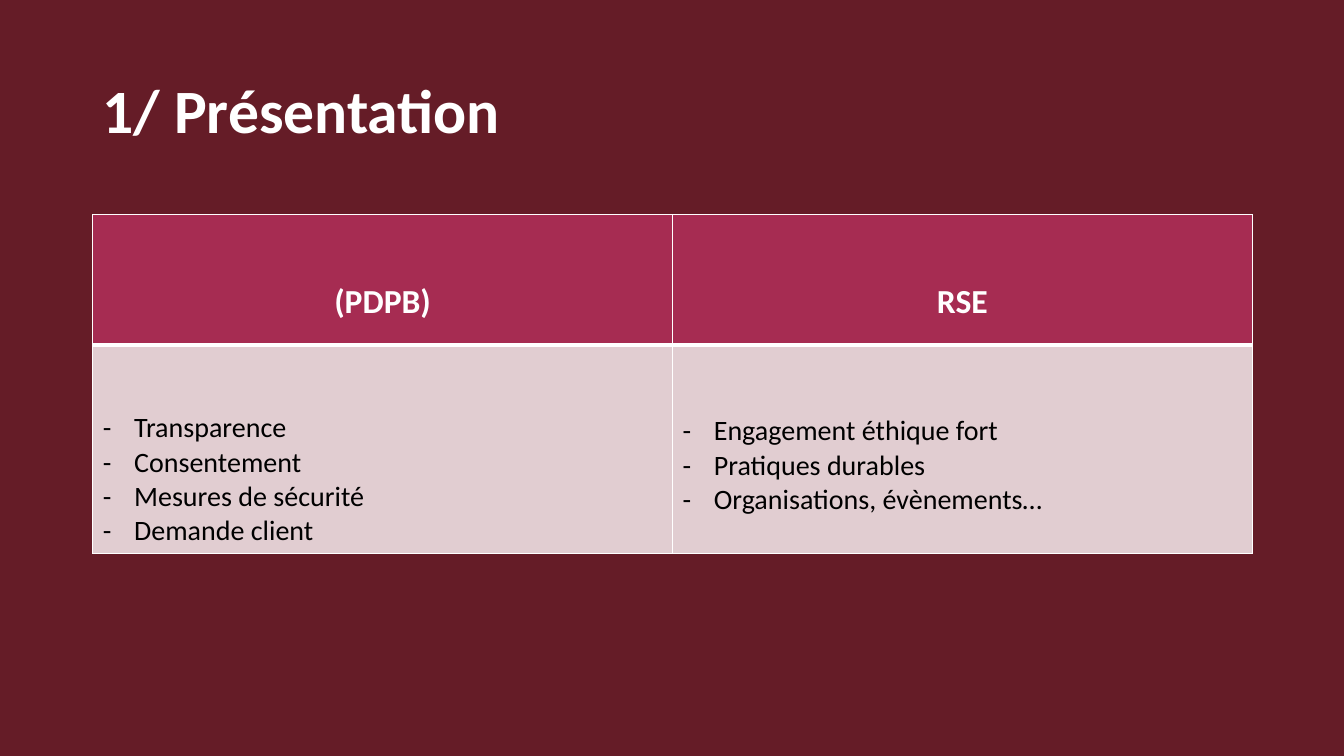
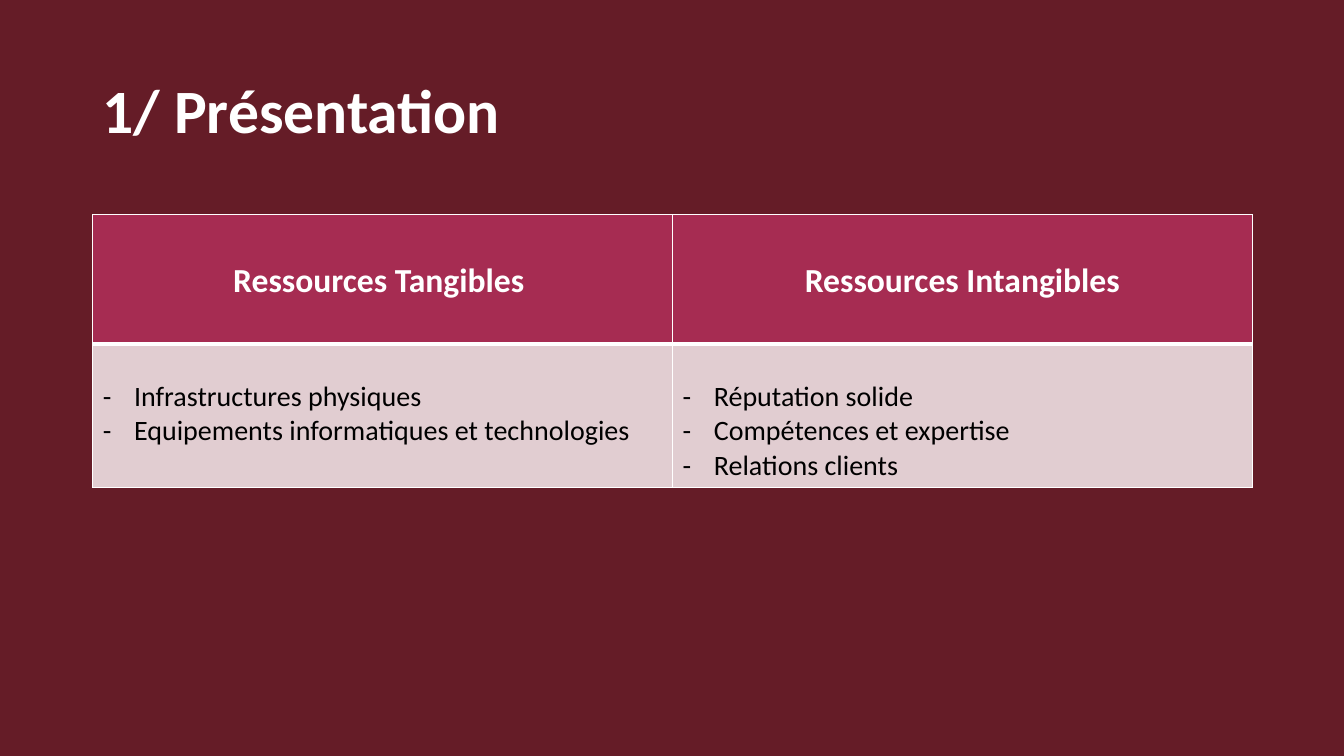
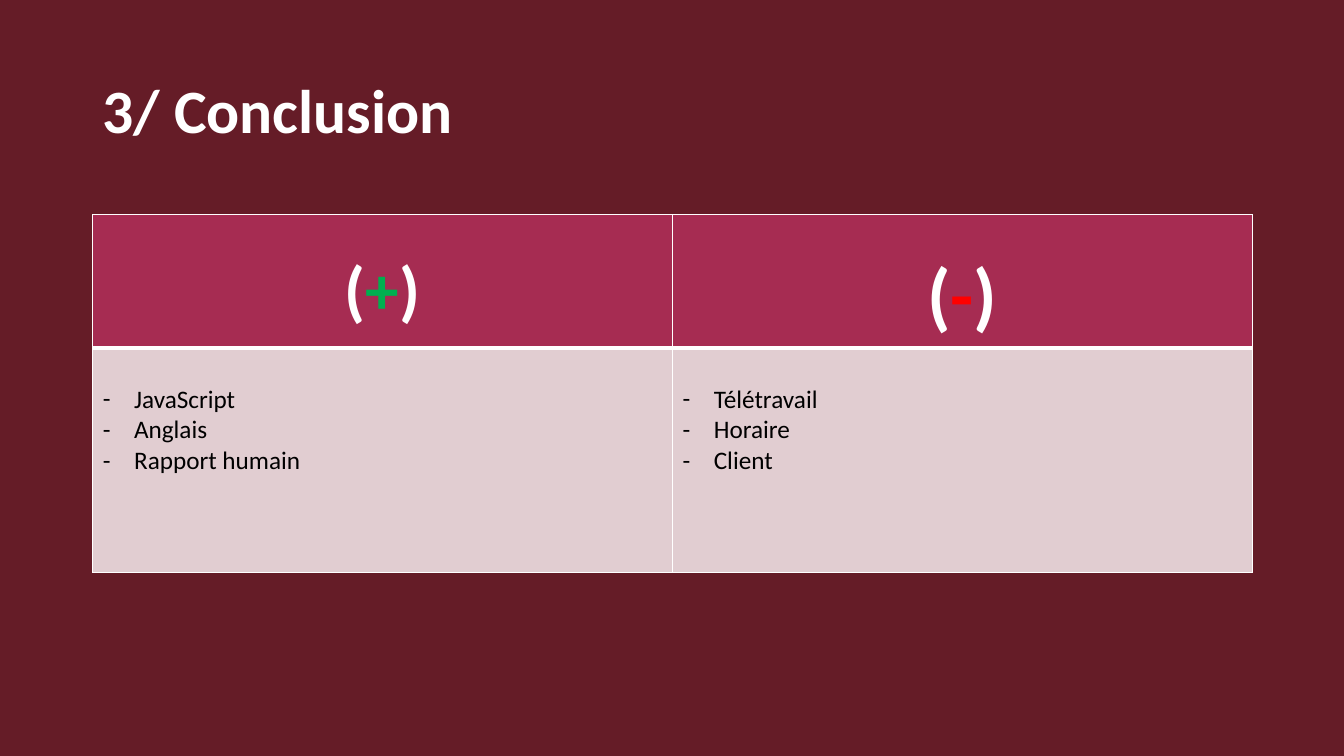
from lxml import etree
from pptx import Presentation
from pptx.dml.color import RGBColor
from pptx.enum.text import MSO_ANCHOR, PP_ALIGN
from pptx.oxml.ns import qn
from pptx.util import Inches, Pt

CENTER = PP_ALIGN.CENTER
LEFT = PP_ALIGN.LEFT
MIDDLE = MSO_ANCHOR.MIDDLE

FONT = "Calibri"
BURGUNDY = "651C27"
RASPBERRY = "A62C52"
BLUSH = "E1CDD1"
WHITE = "FFFFFF"
BLACK = "000000"
GREEN = "00B050"
RED = "FF0000"

CONTENT_LEFT = 0.92
CONTENT_WIDTH = 11.5
TABLE_TOP = 2.13
BULLET_INDENT = 0.31
THIN, THICK = 1, 3


def rgb(color):
    """Turn a hex string into a colour."""
    return RGBColor.from_string(color)


def write(paragraph, text, size=20, color=BLACK, bold=False, align=LEFT):
    """Append formatted text to a paragraph."""
    paragraph.alignment = align
    run = paragraph.add_run()
    run.text = text
    run.font.name = FONT
    run.font.size = Pt(size)
    run.font.bold = bold
    run.font.color.rgb = rgb(color)


def set_dash_bullet(paragraph):
    """Give a paragraph a hanging dash."""
    properties = paragraph._p.get_or_add_pPr()
    properties.set("marL", str(Inches(BULLET_INDENT)))
    properties.set("indent", str(-Inches(BULLET_INDENT)))
    etree.SubElement(properties, qn("a:buFont"), typeface=FONT)
    etree.SubElement(properties, qn("a:buChar"), char="-")


def style_cell(cell, fill, text_top, top=THIN, bottom=THIN):
    """Set the white borders, fill and text start of a cell."""
    properties = cell._tc.get_or_add_tcPr()
    for side, width in (("L", THIN), ("R", THIN), ("T", top), ("B", bottom)):
        line = etree.SubElement(properties, qn(f"a:ln{side}"), w=str(Pt(width)))
        line_fill = etree.SubElement(line, qn("a:solidFill"))
        etree.SubElement(line_fill, qn("a:srgbClr"), val=WHITE)
    cell.fill.solid()
    cell.fill.fore_color.rgb = rgb(fill)
    cell.margin_top = Inches(text_top)


def fill_heading(cell, parts, size, text_top):
    """Write a centred column heading from coloured parts."""
    style_cell(cell, RASPBERRY, text_top, bottom=THICK)
    for text, color in parts:
        write(cell.text_frame.paragraphs[0], text, size=size, color=color,
              bold=True, align=CENTER)


def fill_list(cell, items, size, text_top):
    """Write a dashed list in a cell."""
    style_cell(cell, BLUSH, text_top, top=THICK)
    frame = cell.text_frame
    for index, item in enumerate(items):
        paragraph = frame.add_paragraph() if index else frame.paragraphs[0]
        set_dash_bullet(paragraph)
        write(paragraph, item, size=size)


def add_title(slide, text):
    """Add the slide title."""
    box = slide.shapes.add_textbox(Inches(CONTENT_LEFT), Inches(0.4),
                                   Inches(CONTENT_WIDTH), Inches(1.45))
    frame = box.text_frame
    frame.word_wrap = True
    frame.vertical_anchor = MIDDLE
    frame.paragraphs[0].line_spacing = 0.9
    write(frame.paragraphs[0], text, size=44, color=WHITE, bold=True)


def add_comparison(slide, columns, row_heights, heading_top, list_size=20):
    """Add a table with one heading and one list per column."""
    table = slide.shapes.add_table(
        2, len(columns), Inches(CONTENT_LEFT), Inches(TABLE_TOP),
        Inches(CONTENT_WIDTH), Inches(sum(row_heights))).table
    table.horz_banding = False
    for row, height in zip(table.rows, row_heights):
        row.height = Inches(height)
    for index, (parts, heading_size, items, list_top) in enumerate(columns):
        fill_heading(table.cell(0, index), parts, heading_size, heading_top)
        fill_list(table.cell(1, index), items, list_size, list_top)


def add_slide(deck, title, *comparison, **options):
    """Add a slide with a title and a comparison table."""
    slide = deck.slides.add_slide(deck.slide_layouts[6])
    add_title(slide, title)
    add_comparison(slide, *comparison, **options)


def main():
    """Build the deck."""
    deck = Presentation()
    deck.slide_width = Inches(13.33)
    deck.slide_height = Inches(7.5)
    background = deck.slide_master.background.fill
    background.solid()
    background.fore_color.rgb = rgb(BURGUNDY)

    add_slide(deck, "1/ Présentation", [
        ([("(PDPB)", WHITE)], 24,
         ["Transparence", "Consentement", "Mesures de sécurité",
          "Demande client"], 0.66),
        ([("RSE", WHITE)], 24,
         ["Engagement éthique fort", "Pratiques durables",
          "Organisations, évènements…"], 0.69),
    ], (1.29, 2.07), heading_top=0.66)

    add_slide(deck, "1/ Présentation", [
        ([("Ressources Tangibles ", WHITE)], 24,
         ["Infrastructures physiques",
          "Equipements informatiques et technologies"], 0.36),
        ([("Ressources Intangibles", WHITE)], 24,
         ["Réputation solide", "Compétences et expertise",
          "Relations clients"], 0.36),
    ], (1.28, 1.43), heading_top=0.46)

    add_slide(deck, "3/ Conclusion", [
        ([("(", WHITE), ("+", GREEN), (")", WHITE)], 48,
         ["JavaScript", "Anglais", "Rapport humain"], 0.36),
        ([("(", WHITE), ("-", RED), (")", WHITE)], 54,
         ["Télétravail", "Horaire", "Client"], 0.36),
    ], (1.32, 2.23), heading_top=0.36, list_size=18)

    deck.save("out.pptx")


if __name__ == "__main__":
    main()
